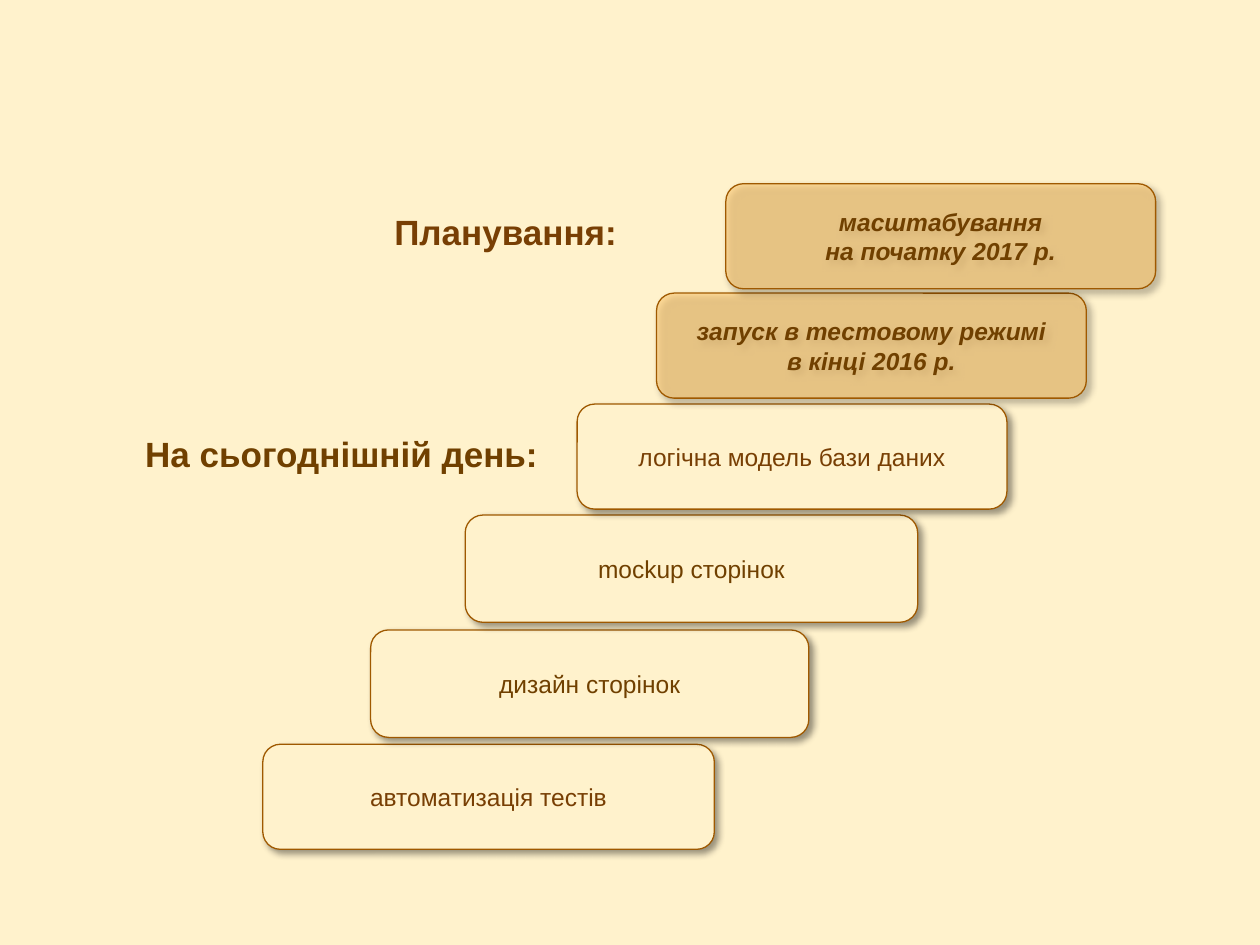
from lxml.etree import SubElement
from pptx import Presentation
from pptx.dml.color import RGBColor
from pptx.enum.shapes import MSO_SHAPE
from pptx.enum.text import MSO_ANCHOR, PP_ALIGN
from pptx.oxml.ns import qn
from pptx.util import Pt

CREAM, GOLD, OUTLINE = "FFF2CC", "FFCA72", "9F5900"
BROWN, DARK_BROWN = "783F04", "704000"


def color(hex_value):
    return RGBColor.from_string(hex_value)


def write_text(shape, lines, alignment, anchor, vertical_margin, font_format):
    frame = shape.text_frame
    frame.word_wrap = True
    frame.vertical_anchor = anchor
    frame.margin_left = frame.margin_right = Pt(7.2)
    frame.margin_top = frame.margin_bottom = Pt(vertical_margin)
    frame.text = "\n".join(lines)
    for paragraph in frame.paragraphs:
        paragraph.alignment = alignment
        for run in paragraph.runs:
            for name, value in font_format.items():
                if name == "color":
                    run.font.color.rgb = color(value)
                else:
                    setattr(run.font, name, value)


presentation = Presentation()
presentation.slide_width, presentation.slide_height = Pt(720), Pt(540)
slide = presentation.slides.add_slide(presentation.slide_layouts[6])
slide.background.fill.solid()
slide.background.fill.fore_color.rgb = color(CREAM)

heading_format = {"name": "Arial", "size": Pt(20), "bold": True}
step_format = {"name": "Arial", "size": Pt(14)}

# Headings
planning = slide.shapes.add_textbox(Pt(218.2), Pt(113), Pt(152.6), Pt(49))
write_text(planning, ["Планування:"], PP_ALIGN.LEFT, MSO_ANCHOR.TOP, 7.2,
           {**heading_format, "color": BROWN})

today = slide.shapes.add_shape(MSO_SHAPE.RECTANGLE, Pt(54), Pt(227.5), Pt(260.6), Pt(63.4))
today.shadow.inherit = False
today.fill.solid()
today.fill.fore_color.rgb = color(CREAM)
today.line.color.rgb = color(CREAM)
today.line.width = Pt(2)
write_text(today, ["На сьогоднішній день:"], PP_ALIGN.RIGHT, MSO_ANCHOR.MIDDLE, 3.6,
           {**heading_format, "color": DARK_BROWN})

# Staircase from bottom to top: left, top, width, height, text color, planned, lines
steps = [
    (150.2, 425.3, 258, 60, BROWN, False, ["автоматизація тестів"]),
    (211.8, 360, 250.4, 61.4, DARK_BROWN, False, ["дизайн сторінок"]),
    (265.8, 294.3, 258.6, 61.3, DARK_BROWN, False, ["mockup сторінок"]),
    (329.8, 230.9, 245.6, 60, BROWN, False, ["логічна модель бази даних"]),
    (375.2, 167.5, 245.6, 60, DARK_BROWN, True,
     ["запуск в тестовому режимі", "в кінці 2016 р."]),
    (414.8, 105, 245.6, 60, DARK_BROWN, True,
     ["масштабування", "на початку 2017 р."]),
]
for left, top, width, height, text_color, planned, lines in steps:
    step = slide.shapes.add_shape(MSO_SHAPE.ROUNDED_RECTANGLE,
                                  Pt(left), Pt(top), Pt(width), Pt(height))
    step.adjustments[0] = 0.167
    step.fill.solid()
    step.fill.fore_color.rgb = color(GOLD if planned else CREAM)
    step.line.color.rgb = color(OUTLINE)
    step.line.width = Pt(0.75)
    step.shadow.inherit = False
    properties = step._element.spPr
    if planned:
        fill_color = properties.find(qn("a:solidFill")).find(qn("a:srgbClr"))
        SubElement(fill_color, qn("a:alpha"), val="58000")
    shadow = SubElement(properties.find(qn("a:effectLst")), qn("a:outerShdw"),
                        blurRad=str(Pt(4)), dist=str(Pt(3)), dir=str(45 * 60000),
                        algn="tl", rotWithShape="0")
    shadow_color = SubElement(shadow, qn("a:srgbClr"), val="000000")
    SubElement(shadow_color, qn("a:alpha"), val="40000")
    write_text(step, lines, PP_ALIGN.CENTER, MSO_ANCHOR.MIDDLE, 7.2,
               {**step_format, "color": text_color, "bold": planned, "italic": planned})

presentation.save("out.pptx")
